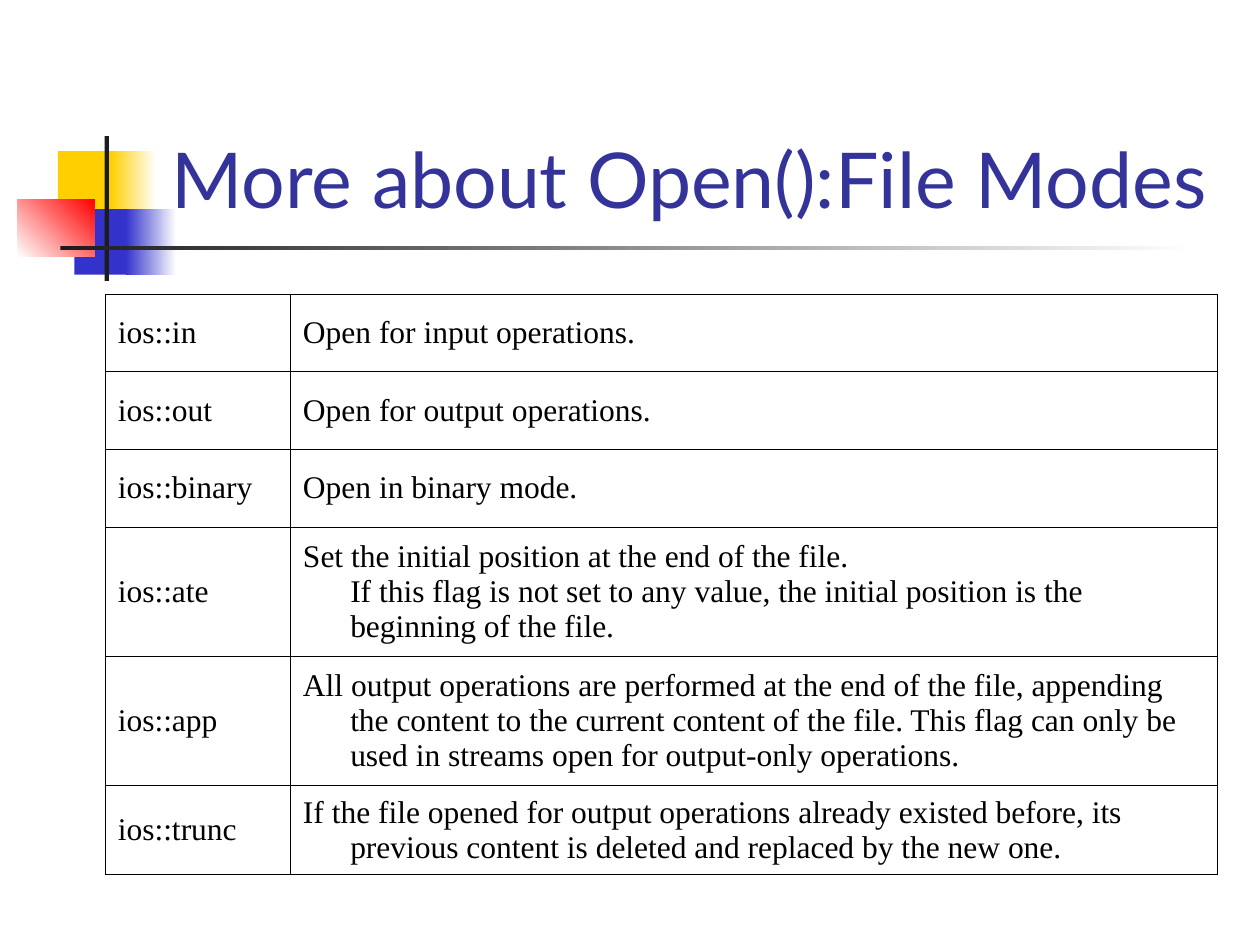
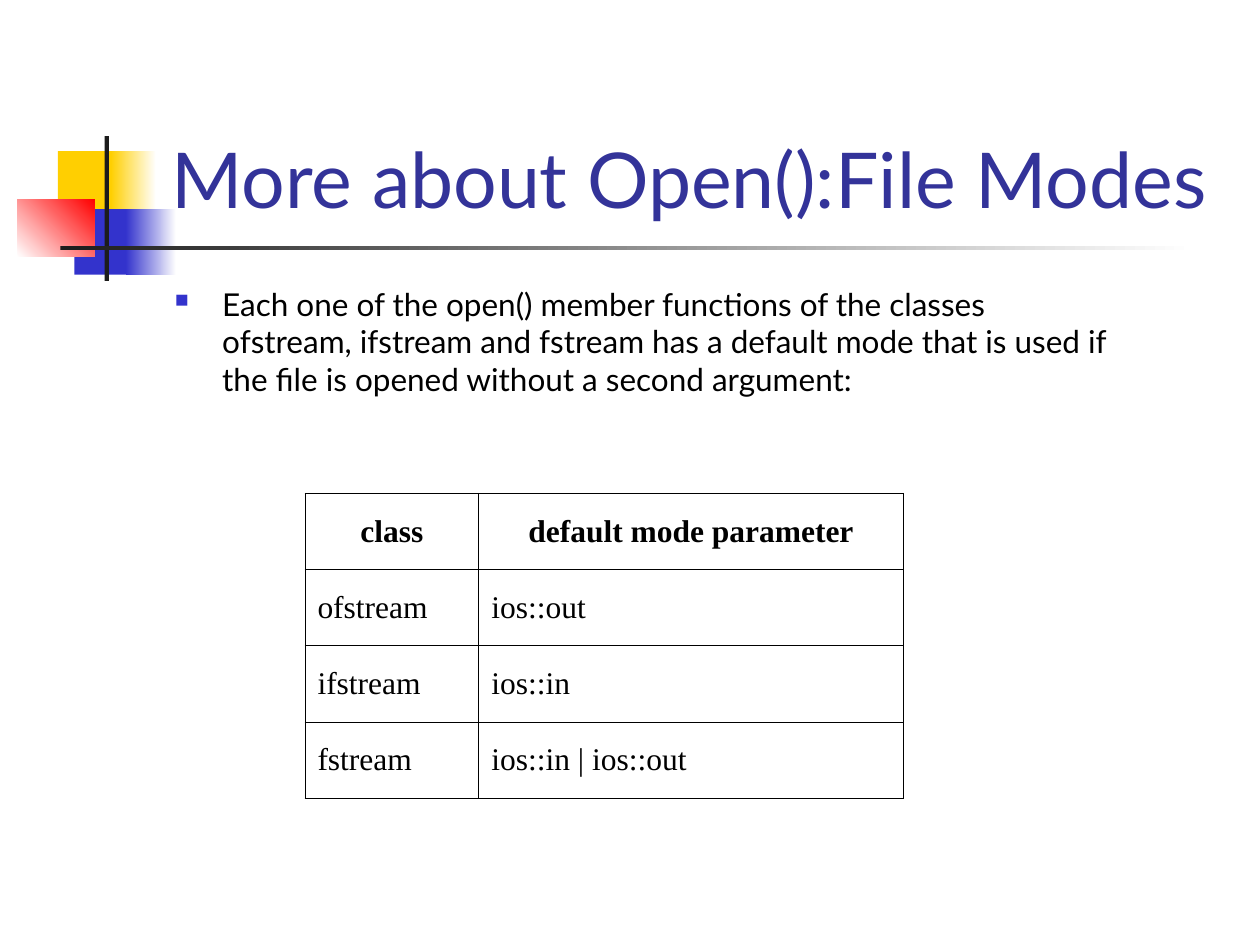
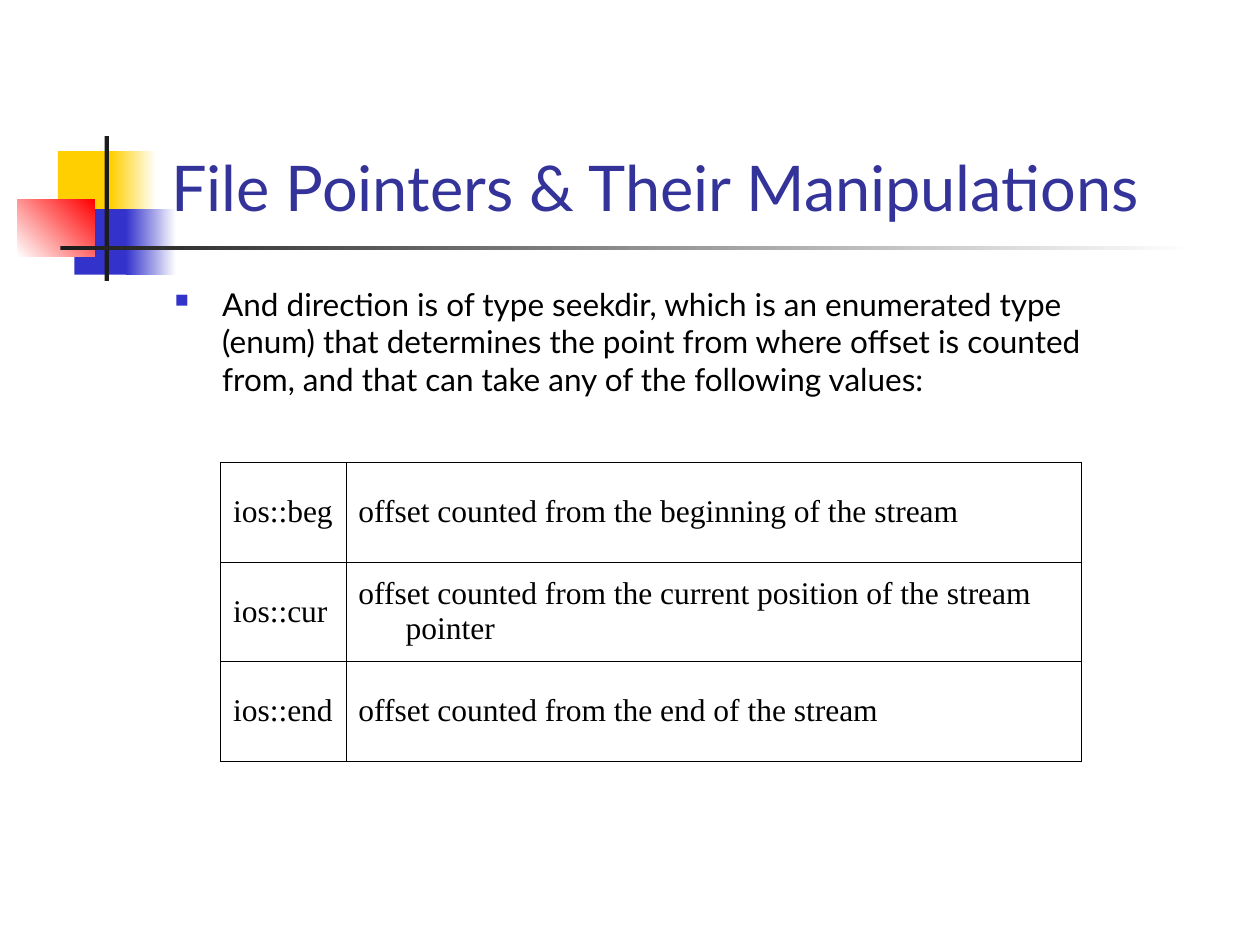
from dataclasses import dataclass

import lxml.etree
import pptx
import pptx.dml.color
import pptx.enum.shapes
import pptx.enum.text
import pptx.oxml
import pptx.oxml.ns
import pptx.presentation
import pptx.slide
import pptx.text.text
import pptx.util

RGBColor = pptx.dml.color.RGBColor
Align = pptx.enum.text.PP_ALIGN
Anchor = pptx.enum.text.MSO_ANCHOR

WHITE = RGBColor(0xFF, 0xFF, 0xFF)
BLACK = RGBColor(0x00, 0x00, 0x00)
YELLOW = RGBColor(0xFF, 0xCF, 0x01)
BLUE = RGBColor(0x33, 0x33, 0xCC)
RED = RGBColor(0xFF, 0x00, 0x00)
CHARCOAL = RGBColor(0x1C, 0x1C, 0x1C)
TITLE_BLUE = RGBColor(0x33, 0x33, 0x99)

TITLE_FONT = "Lato"
TABLE_FONT = "Times New Roman"
BODY_SIZE = 18
BORDER_WIDTH = 0.45
GRID_COLUMNS, GRID_ROWS = 100, 75
HANGING = 3.75


@dataclass(frozen=True)
class Area:
    column: float
    row: float
    columns: float
    rows: float


@dataclass(frozen=True)
class Block:
    area: Area
    start: RGBColor
    end: RGBColor | None = None
    angle: float = 0


@dataclass(frozen=True)
class Grid:
    column: float
    row: float
    widths: tuple[float, ...]
    heights: tuple[float, ...]
    cells: tuple[tuple[str, ...], ...]
    has_header: bool = False


@dataclass(frozen=True)
class Page:
    title: str
    title_size: float
    grid: Grid
    body: str = ""
    body_area: Area | None = None


TITLE_AREA = Area(12.6, 2.3, 85.2, 16)

EMBLEM = (
    Block(Area(4.6, 12, 4.8, 5.2), YELLOW),
    Block(Area(8.8, 12, 3.6, 5.2), YELLOW, WHITE),
    Block(Area(5.9, 16.6, 4.6, 5.2), BLUE),
    Block(Area(10, 16.6, 4, 5.2), BLUE, WHITE),
    Block(Area(1.4, 15.8, 6.1, 4.6), WHITE, RED, 45),
    Block(Area(8.3, 10.8, 0.35, 11.5), CHARCOAL),
    Block(Area(4.8, 19.5, 90, 0.35), CHARCOAL, WHITE),
)

PAGES = (
    Page(
        "More about Open():File Modes",
        44,
        Grid(
            8.35, 23.35, (14.7, 73.6), (6.15, 6.15, 6.2, 10.25, 10.25, 7.05),
            (
                ("ios::in", "Open for input operations."),
                ("ios::out", "Open for output operations."),
                ("ios::binary", "Open in binary mode."),
                ("ios::ate", "Set the initial position at the end of the file.\vIf this flag is not set "
                 "to any value, the initial position is the beginning of the file."),
                ("ios::app", "All output operations are performed at the end of the file, appending "
                 "the content to the current content of the file. This flag can only be used in "
                 "streams open for output-only operations."),
                ("ios::trunc", "If the file opened for output operations already existed before, its "
                 "previous content is deleted and replaced by the new one."),
            ),
        ),
    ),
    Page(
        "More about Open():File Modes",
        44,
        Grid(
            24.2, 39.15, (13.8, 33.7), (6.05,) * 4,
            (
                ("class", "default mode parameter"),
                ("ofstream", "ios::out"),
                ("ifstream", "ios::in"),
                ("fstream", "ios::in | ios::out"),
            ),
            has_header=True,
        ),
        "Each one of the open() member functions of the classes ofstream, ifstream and fstream has a "
        "default mode that is used if the file is opened without a second argument:",
        Area(12.9, 22.1, 76.2, 13.8),
    ),
    Page(
        "File Pointers & Their Manipulations",
        36,
        Grid(
            17.5, 36.7, (9.95, 58.4), (7.9,) * 3,
            (
                ("ios::beg", "offset counted from the beginning of the stream"),
                ("ios::cur", "offset counted from the current position of the stream pointer"),
                ("ios::end", "offset counted from the end of the stream"),
            ),
        ),
        "And direction is of type seekdir, which is an enumerated type (enum) that determines the "
        "point from where offset is counted from, and that can take any of the following values:",
        Area(12.9, 22.1, 79.6, 12.1),
    ),
)


def across(columns: float) -> pptx.util.Length:
    return pptx.util.Inches(columns * 10 / GRID_COLUMNS)


def down(rows: float) -> pptx.util.Length:
    return pptx.util.Inches(rows * 7.5 / GRID_ROWS)


def place(area: Area) -> tuple[pptx.util.Length, ...]:
    return across(area.column), down(area.row), across(area.columns), down(area.rows)


def add_child(parent, tag: str, **attributes: str):
    child = lxml.etree.SubElement(parent, pptx.oxml.ns.qn(tag))
    for name, value in attributes.items():
        child.set(name, value)
    return child


def write_text(frame: pptx.text.text.TextFrame, text: str, *, font: str, size: float = BODY_SIZE,
               color: RGBColor = BLACK, bold: bool = False, align: Align = Align.LEFT,
               hanging: float = 0, bullet: str = "") -> None:
    frame.word_wrap = True
    para = frame.paragraphs[0]
    para.text = text
    para.alignment = align
    properties = para._p.get_or_add_pPr()
    if hanging:
        properties.set("marL", str(across(hanging)))
        properties.set("indent", str(-across(hanging)))
    if bullet:
        add_child(add_child(properties, "a:buClr"), "a:srgbClr", val=str(BLUE))
        add_child(properties, "a:buSzPct", val="60000")
        add_child(properties, "a:buChar", char=bullet)
    for span in para.runs:
        span.font.name = font
        span.font.size = pptx.util.Pt(size)
        span.font.bold = bold
        span.font.color.rgb = color


def add_block(page: pptx.slide.Slide, block: Block) -> None:
    shape = page.shapes.add_shape(pptx.enum.shapes.MSO_SHAPE.RECTANGLE, *place(block.area))
    shape.shadow.inherit = False
    shape.line.fill.background()
    if block.end is None:
        shape.fill.solid()
        shape.fill.fore_color.rgb = block.start
        return
    shape.fill.gradient()
    shape.fill.gradient_angle = block.angle
    for stop, color in zip(shape.fill.gradient_stops, (block.start, block.end)):
        stop.color.rgb = color


def add_text_box(page: pptx.slide.Slide, area: Area, text: str, anchor: Anchor, **text_format) -> None:
    box = page.shapes.add_textbox(*place(area))
    box.text_frame.vertical_anchor = anchor
    write_text(box.text_frame, text, **text_format)


def add_borders(cell) -> None:
    properties = cell._tc.get_or_add_tcPr()
    for side in ("L", "R", "T", "B"):
        line = add_child(properties, f"a:ln{side}", w=str(pptx.util.Pt(BORDER_WIDTH)))
        add_child(add_child(line, "a:solidFill"), "a:srgbClr", val=str(BLACK))


def add_grid(page: pptx.slide.Slide, grid: Grid) -> None:
    area = Area(grid.column, grid.row, sum(grid.widths), sum(grid.heights))
    table = page.shapes.add_table(len(grid.heights), len(grid.widths), *place(area)).table
    table.first_row = table.horz_banding = False
    for column, width in zip(table.columns, grid.widths):
        column.width = across(width)
    for row, height in zip(table.rows, grid.heights):
        row.height = down(height)
    for row_index, texts in enumerate(grid.cells):
        is_header = grid.has_header and row_index == 0
        for column_index, text in enumerate(texts):
            cell = table.cell(row_index, column_index)
            cell.vertical_anchor = Anchor.MIDDLE
            add_borders(cell)
            cell.fill.background()
            write_text(cell.text_frame, text, font=TABLE_FONT, bold=is_header, hanging=HANGING,
                       align=Align.CENTER if is_header else Align.LEFT)


def add_page(deck: pptx.presentation.Presentation, content: Page) -> None:
    page = deck.slides.add_slide(deck.slide_layouts[6])
    for block in EMBLEM:
        add_block(page, block)
    add_text_box(page, TITLE_AREA, content.title, Anchor.BOTTOM, font=TITLE_FONT,
                 size=content.title_size, color=TITLE_BLUE)
    if content.body_area:
        add_text_box(page, content.body_area, content.body, Anchor.TOP, font=TITLE_FONT,
                     hanging=HANGING, bullet="■")
    add_grid(page, content.grid)


def main() -> None:
    deck = pptx.Presentation()
    deck.slide_width = across(GRID_COLUMNS)
    deck.slide_height = down(GRID_ROWS)
    for content in PAGES:
        add_page(deck, content)
    deck.save("out.pptx")


if __name__ == "__main__":
    main()
